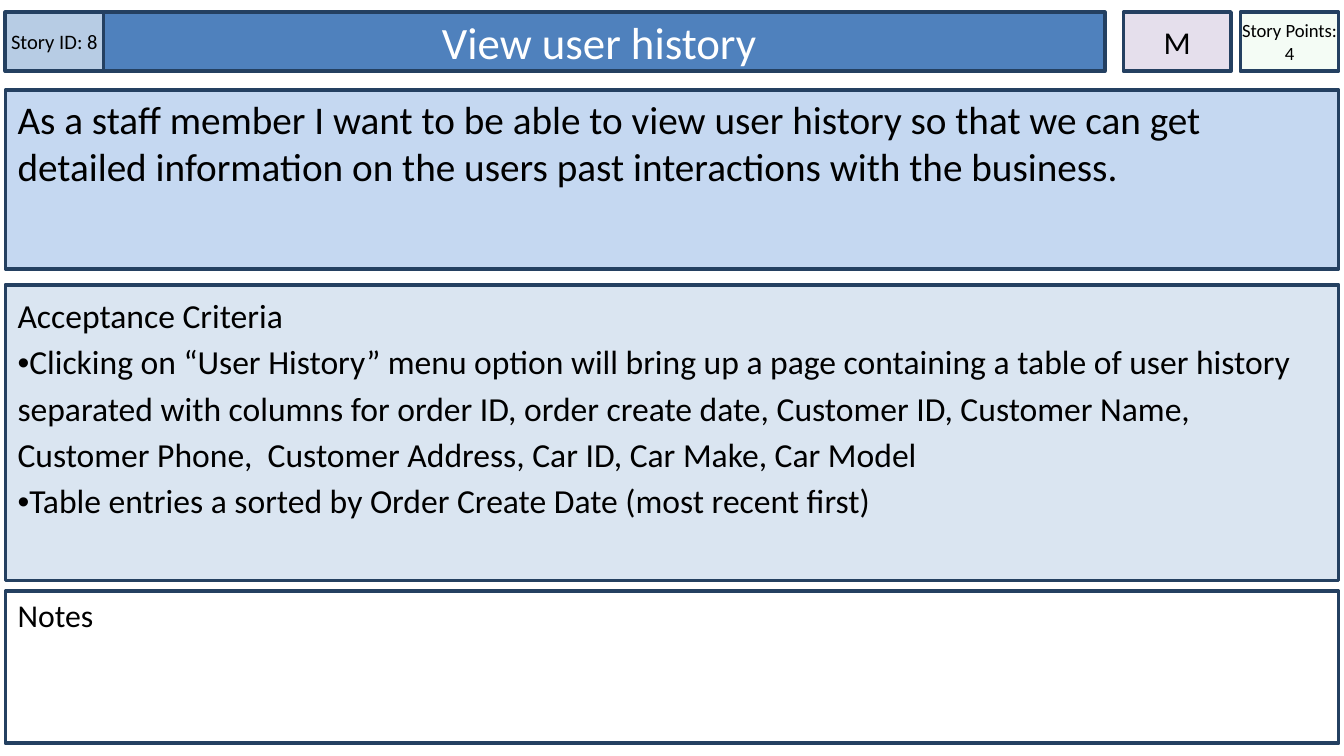
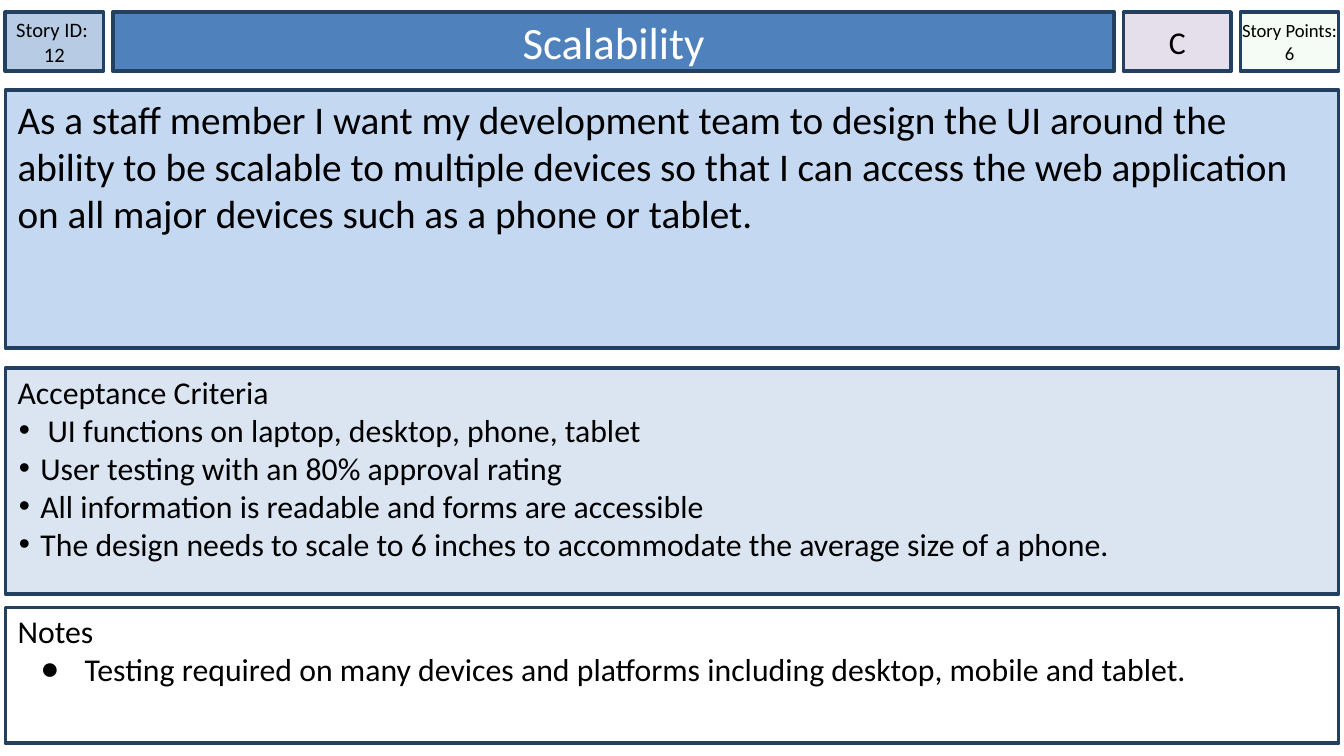
from dataclasses import dataclass

from lxml.etree import SubElement
from pptx import Presentation
from pptx.dml.color import RGBColor
from pptx.enum.shapes import MSO_SHAPE
from pptx.enum.text import MSO_ANCHOR, MSO_AUTO_SIZE, PP_ALIGN
from pptx.oxml.ns import qn
from pptx.util import Inches, Pt


@dataclass(frozen=True)
class Theme:
    font: str = "Calibri"
    bullet_font: str = "Arial"
    ink: str = "000000"
    white: str = "FFFFFF"
    border: str = "244061"
    id_fill: str = "B7CCE4"
    title_fill: str = "4F81BD"
    priority_fill: str = "E5DFEC"
    points_fill: str = "CCF0CD"
    story_fill: str = "C5D8F1"
    criteria_fill: str = "DAE5F1"
    title_size: int = 24
    story_size: int = 21
    text_size: int = 17
    id_size: int = 11
    points_size: int = 10


THEME = Theme()

# Grid: one header row of cards above three full-width panels on a 16:9 slide
SLIDE_W = 10
SLIDE_H = SLIDE_W * 9 / 16
MARGIN = 0.04
FULL_W = SLIDE_W - 2 * MARGIN
HEADER_TOP, HEADER_H = 0.09, 0.44
CARD_W, TITLE_W, PRIORITY_W = 0.73, 7.45, 0.8
POINTS_LEFT = SLIDE_W - MARGIN - CARD_W
PRIORITY_LEFT = POINTS_LEFT - 0.07 - PRIORITY_W
STORY_TOP, PANEL_BOTTOM = 0.67, 5.53

# Bullets: (character, text indent, hanging indent)
DOT = ("•", 0.17, -0.16)
DISC = ("●", 0.5, -0.33)

STORIES = [
    {
        "id": ["Story ID: 8"],
        "title": "View user history ",
        "title_left": MARGIN + CARD_W,
        "priority": "M",
        "points": "Story Points: 4",
        "story": "As a staff member I want to be able to view user history so that we can get "
                 "detailed information on the users past interactions with the business.",
        "story_bottom": 2.0,
        "criteria_span": (2.12, 4.32),
        "criteria_size": 18,
        "criteria_spacing": 1.15,
        "criteria_bullet": None,
        "criteria": [
            ["•", "Clicking on “User History” menu option will bring up a page containing a "
                  "table of user history separated with columns for order ID, order create date, "
                  "Customer ID, Customer Name, Customer Phone,  Customer Address, Car ID, "
                  "Car Make, Car Model"],
            ["•", "Table entries a sorted by Order Create Date (most recent first)"],
        ],
        "notes_top": 4.4,
        "notes": [],
    },
    {
        "id": ["Story ID: ", "12"],
        "title": "Scalability",
        "title_left": 0.84,
        "priority": "C",
        "points": "Story Points: 6",
        "story": "As a staff member I want my development team to design the UI around the "
                 "ability to be scalable to multiple devices so that I can access the web "
                 "application on all major devices such as a phone or tablet.",
        "story_bottom": 2.59,
        "criteria_span": (2.74, 4.42),
        "criteria_size": THEME.text_size,
        "criteria_spacing": 1.0,
        "criteria_bullet": DOT,
        "criteria": [
            [" UI functions on laptop, desktop, phone, tablet"],
            ["User testing with an 80% approval rating"],
            ["All information is readable and forms are accessible"],
            ["The design needs to scale to 6 inches to accommodate the average size of a phone."],
        ],
        "notes_top": 4.52,
        "notes": [
            ["Testing required on many devices and platforms including desktop, mobile and tablet."],
        ],
    },
]


def place(box, left, top, width, height, fill, side_inset=0.09, top_inset=0.04,
          anchor=MSO_ANCHOR.TOP):
    """Give a card or panel its position, bordered fill and text frame."""
    box.left, box.top, box.width, box.height = map(Inches, (left, top, width, height))
    box.fill.solid()
    box.fill.fore_color.rgb = RGBColor.from_string(fill)
    box.line.color.rgb = RGBColor.from_string(THEME.border)
    box.line.width = Pt(2)
    frame = box.text_frame
    frame.word_wrap = True
    frame.auto_size = MSO_AUTO_SIZE.NONE
    frame.vertical_anchor = anchor
    frame.margin_left = frame.margin_right = Inches(side_inset)
    frame.margin_top, frame.margin_bottom = Inches(top_inset), Inches(0.04)
    return box


def write(box, paragraphs, size, color=THEME.ink, align=PP_ALIGN.LEFT, spacing=1.0, bullet=None):
    """Write lists of runs as paragraphs; a bullet marks all but the first."""
    frame = box.text_frame
    for index, runs in enumerate(paragraphs):
        paragraph = frame.add_paragraph() if index else frame.paragraphs[0]
        paragraph.alignment = align
        paragraph.line_spacing = spacing
        paragraph.space_before = paragraph.space_after = Pt(0)
        char, indent, hanging = bullet if bullet and index else (None, 0, 0)
        properties = paragraph._p.get_or_add_pPr()
        properties.set("marL", str(Inches(indent)))
        properties.set("indent", str(Inches(hanging)))
        if char:
            bullet_color = SubElement(properties, qn("a:buClr"))
            SubElement(bullet_color, qn("a:srgbClr"), val=THEME.ink)
            SubElement(properties, qn("a:buFont"), typeface=THEME.bullet_font)
            SubElement(properties, qn("a:buChar"), char=char)
        else:
            SubElement(properties, qn("a:buNone"))
        for text in runs:
            run = paragraph.add_run()
            run.text = text
            run.font.name = THEME.bullet_font if text == "•" else THEME.font
            run.font.size = Pt(size)
            run.font.color.rgb = RGBColor.from_string(color)


deck = Presentation()
deck.slide_width, deck.slide_height = Inches(SLIDE_W), Inches(SLIDE_H)

for story in STORIES:
    slide = deck.slides.add_slide(deck.slide_layouts[1])

    title = place(slide.shapes.title, story["title_left"], HEADER_TOP, TITLE_W, HEADER_H,
                  THEME.title_fill, anchor=MSO_ANCHOR.MIDDLE)
    write(title, [[story["title"]]], THEME.title_size, THEME.white, PP_ALIGN.CENTER)

    criteria_top, criteria_bottom = story["criteria_span"]
    criteria = place(slide.placeholders[1], MARGIN, criteria_top, FULL_W,
                     criteria_bottom - criteria_top, THEME.criteria_fill, top_inset=0.03)
    write(criteria, [["Acceptance Criteria"], *story["criteria"]], story["criteria_size"],
          spacing=story["criteria_spacing"], bullet=story["criteria_bullet"])

    cards = [
        (MARGIN, CARD_W, THEME.id_fill, [[line] for line in story["id"]], THEME.id_size),
        (PRIORITY_LEFT, PRIORITY_W, THEME.priority_fill, [[story["priority"]]], THEME.text_size),
        (POINTS_LEFT, CARD_W, THEME.points_fill, [[story["points"]]], THEME.points_size),
    ]
    for left, width, fill, lines, size in cards:
        card = slide.shapes.add_shape(MSO_SHAPE.RECTANGLE, 0, 0, 0, 0)
        card.shadow.inherit = False
        place(card, left, HEADER_TOP, width, HEADER_H, fill, side_inset=0,
              anchor=MSO_ANCHOR.MIDDLE)
        write(card, lines, size, align=PP_ALIGN.CENTER)
        if fill == THEME.points_fill:
            tint = card._element.spPr.find(qn("a:solidFill")).find(qn("a:srgbClr"))
            SubElement(tint, qn("a:alpha"), val="20000")

    panels = [
        (STORY_TOP, story["story_bottom"], THEME.story_fill, 0.04,
         [[story["story"]]], THEME.story_size),
        (story["notes_top"], PANEL_BOTTOM, THEME.white, 0.03,
         [["Notes"], *story["notes"]], THEME.text_size),
    ]
    for top, bottom, fill, top_inset, lines, size in panels:
        panel = slide.shapes.add_shape(MSO_SHAPE.RECTANGLE, 0, 0, 0, 0)
        panel.shadow.inherit = False
        place(panel, MARGIN, top, FULL_W, bottom - top, fill, top_inset=top_inset)
        write(panel, lines, size, bullet=DISC)

deck.save("out.pptx")
